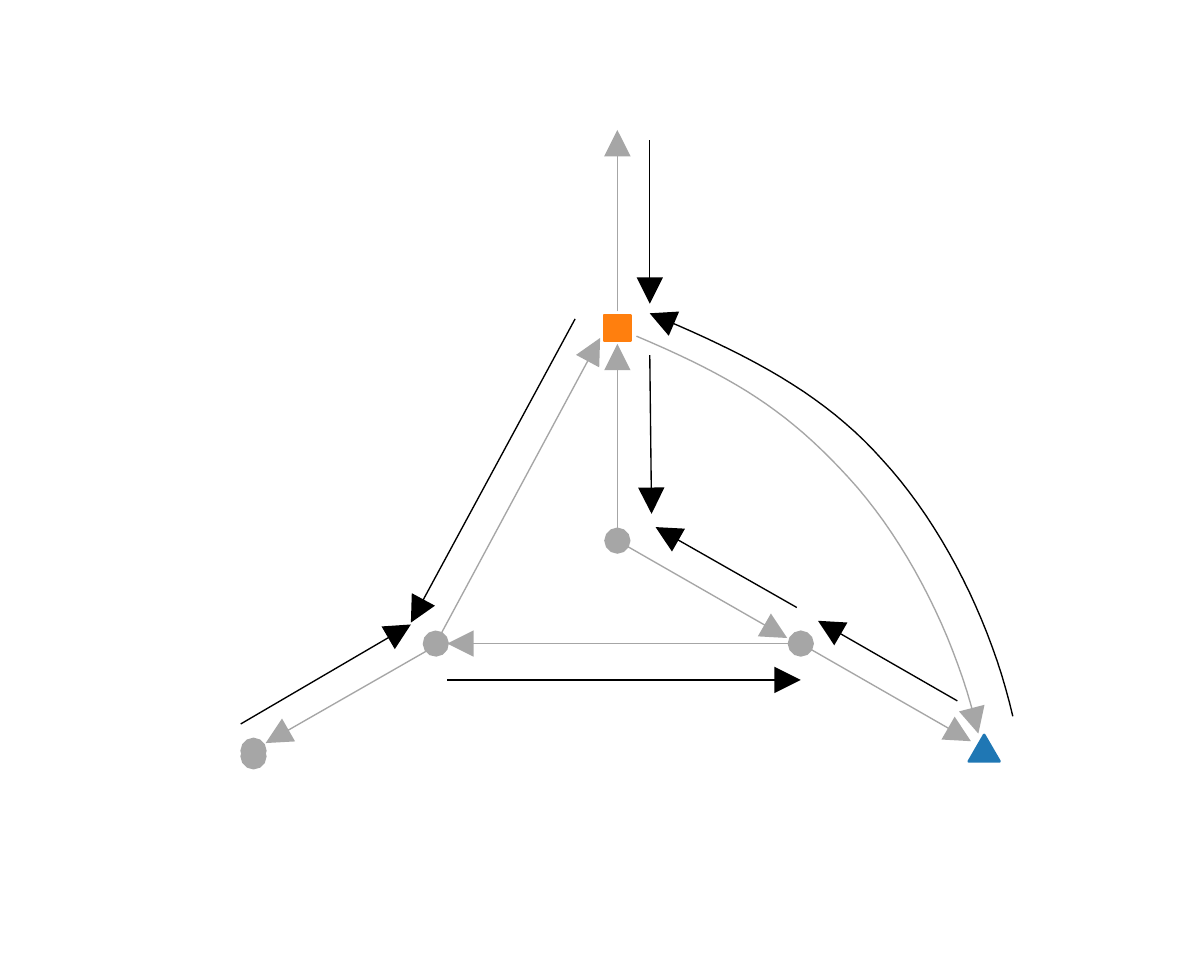
from lxml import etree
from pptx import Presentation
from pptx.dml.color import RGBColor
from pptx.enum.shapes import MSO_CONNECTOR, MSO_SHAPE
from pptx.oxml.ns import qn
from pptx.util import Pt

STRAIGHT = MSO_CONNECTOR.STRAIGHT
TRIANGLE, SQUARE = MSO_SHAPE.ISOSCELES_TRIANGLE, MSO_SHAPE.RECTANGLE
GRAY, BLACK, BLUE, ORANGE = "A6A6A6", "000000", "1F77B4", "FF7F0E"

# Content, in points: start, end, mark at start, mark at end
TREE = [
    ((232.6, 203.8), (232.6, 129.6), "oval", "triangle"),
    ((168.5, 242.6), (301.7, 242.6), "triangle", "oval"),
    ((232.6, 203.8), (296.6, 240.5), None, "triangle"),
    ((164.2, 242.6), (226.1, 127.4), "oval", "triangle"),
    ((301.7, 242.6), (365.8, 279.4), None, "triangle"),
    ((164.2, 243.4), (100.1, 280.1), None, "triangle"),
    ((95.5, 283), (95.5, 285.1), "oval", "oval"),
    ((232.6, 117.4), (232.6, 49), None, "triangle"),
]
RETURNS = [
    ((245.5, 193.7), (244.8, 133.9), "triangle", None),
    ((168.5, 256.3), (301.7, 256.3), None, "triangle"),
    ((247, 198.7), (300.2, 229), "triangle", None),
    ((154.8, 234.7), (216.7, 120.2), "triangle", None),
    ((244.8, 114.5), (244.8, 52.6), "triangle", None),
    ((154.8, 235.4), (90.7, 272.9), "triangle", None),
    ((308.2, 234), (360.7, 264.2), "triangle", None),
]
# Two joined cubic curves each: colour, control points, marks
CURVES = [
    (BLACK, [(244.8, 118.1), (282.2, 133.9), (310.3, 148.3), (332.6, 173.5),
             (355.7, 198.7), (373.7, 235.4), (381.6, 270)], "triangle", None),
    (GRAY, [(239.8, 126.7), (277.2, 142.6), (296.6, 154.8), (319.7, 180),
            (342.7, 205.2), (360.7, 241.9), (368.6, 276.5)], None, "triangle"),
]
# Shape, colour, left, top, width, height
ENDS = [
    (TRIANGLE, BLUE, 365, 277, 11.6, 10),
    (SQUARE, ORANGE, 227.6, 118.7, 9.9, 9.9),
]
STEPS = 20


def rgb(code):
    return RGBColor.from_string(code)


def style_line(s, color, head, tail):
    s.line.width = Pt(0.5)
    s.line.fill.solid()
    s.line.fill.fore_color.rgb = rgb(color)
    ln = s._element.spPr.find(qn("a:ln"))
    for tag, mark in (("a:headEnd", head), ("a:tailEnd", tail)):
        if mark:
            etree.SubElement(ln, qn(tag), type=mark, w="lg", len="lg")


def add_link(start, end, head, tail, color):
    s = shapes.add_connector(STRAIGHT, *map(Pt, start + end))
    style_line(s, color, head, tail)
    etree.SubElement(s._element.spPr, qn("a:effectLst"))


def cubic(points, t):
    u = 1 - t
    weights = (u ** 3, 3 * u * u * t, 3 * u * t * t, t ** 3)
    return tuple(Pt(sum(w * p[axis] for w, p in zip(weights, points)))
                 for axis in (0, 1))


def add_curve(color, points, head, tail):
    track = [cubic(points[i:i + 4], n / STEPS)
             for i in (0, 3) for n in range(1, STEPS + 1)]
    builder = shapes.build_freeform(*map(Pt, points[0]))
    builder.add_line_segments(track, close=False)
    s = builder.convert_to_shape()
    s.shadow.inherit = False
    s.fill.background()
    style_line(s, color, head, tail)


prs = Presentation()
prs.slide_width, prs.slide_height = Pt(453.6), Pt(368.64)
shapes = prs.slides.add_slide(prs.slide_layouts[6]).shapes

# Straight links
for color, links in ((GRAY, TREE), (BLACK, RETURNS)):
    for link in links:
        add_link(*link, color)

# Curved links
for curve in CURVES:
    add_curve(*curve)

# Coloured end nodes
for kind, color, *box in ENDS:
    s = shapes.add_shape(kind, *map(Pt, box))
    s.shadow.inherit = False
    s.fill.solid()
    s.fill.fore_color.rgb = rgb(color)
    s.line.color.rgb = rgb(color)
    s.line.width = Pt(1)

prs.save("out.pptx")
